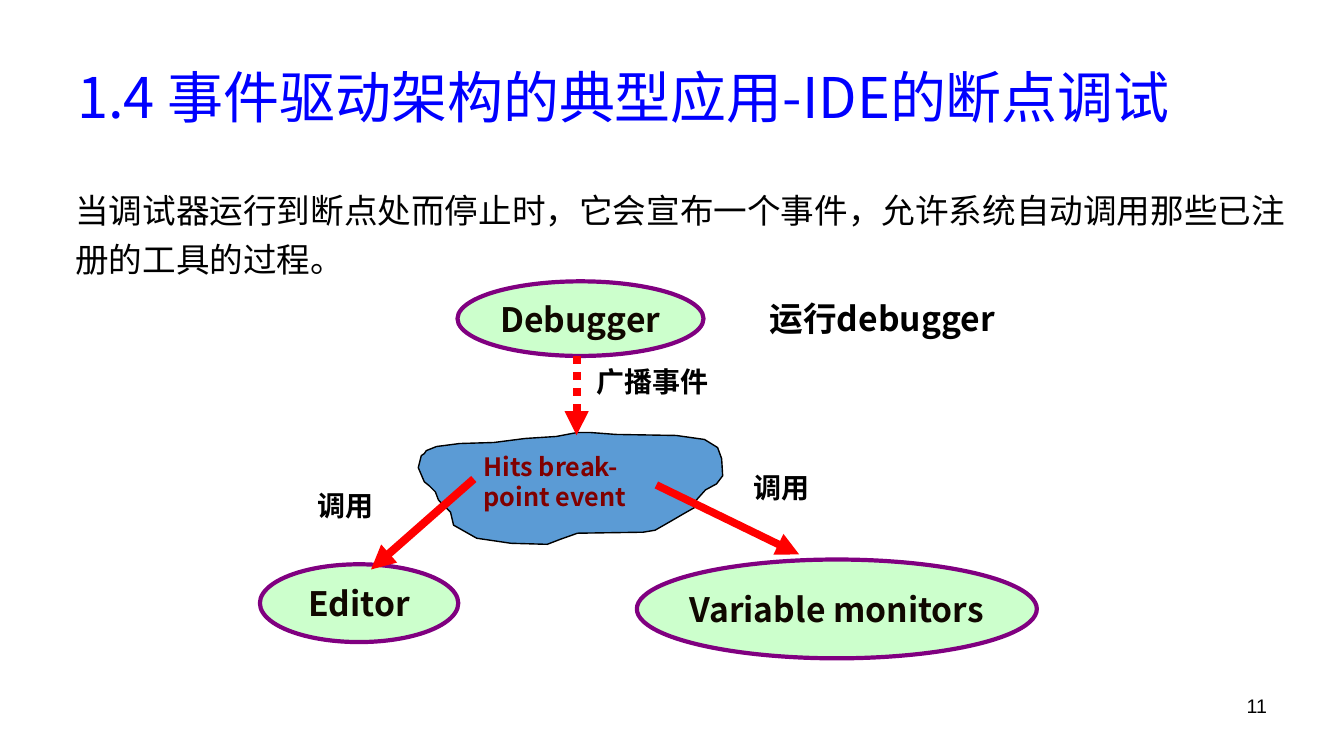
from lxml import etree
from pptx import Presentation
from pptx.dml.color import RGBColor
from pptx.enum.dml import MSO_LINE
from pptx.enum.shapes import MSO_CONNECTOR, MSO_SHAPE
from pptx.enum.text import MSO_ANCHOR, PP_ALIGN
from pptx.oxml.ns import qn
from pptx.util import Cm, Pt

OVAL = MSO_SHAPE.OVAL
STRAIGHT = MSO_CONNECTOR.STRAIGHT
DOTTED = MSO_LINE.ROUND_DOT
TOP, MIDDLE = MSO_ANCHOR.TOP, MSO_ANCHOR.MIDDLE
LEFT, CENTER, RIGHT = PP_ALIGN.LEFT, PP_ALIGN.CENTER, PP_ALIGN.RIGHT

CJK = "Noto Sans CJK SC"
COLORS = {
    "title": "0000FF",
    "text": "000000",
    "tool_text": "100800",
    "tool_fill": "CCFFCC",
    "tool_line": "800080",
    "event_fill": "5B9BD5",
    "event_text": "800000",
    "arrow": "FF0000",
}

# Outline of the event cloud, in hundredths of an inch
CLOUD_POINTS = [
    (418, 452), (421, 450), (423, 447), (433, 443), (456, 440), (490, 439),
    (521, 435), (552, 433), (573, 429), (585, 429), (611, 431), (671, 432),
    (699, 436), (712, 444), (716, 455), (717, 472), (711, 480), (700, 486),
    (691, 496), (690, 503), (676, 511), (664, 518), (650, 526), (638, 528),
    (573, 529), (556, 535), (543, 540), (507, 539), (473, 534), (450, 521),
    (447, 508), (435, 496), (432, 488), (426, 482), (421, 478), (415, 464),
]


def color(name):
    return RGBColor.from_string(COLORS[name])


def write(shape, text, size, ink, bold=False, font=CJK, align=LEFT,
          anchor=TOP, wrap=True, leading=1.2):
    frame = shape.text_frame
    paragraph = frame.paragraphs[0]
    run = paragraph.add_run()
    run.text = text
    formats = [
        (frame, {"word_wrap": wrap, "vertical_anchor": anchor}),
        (paragraph, {"alignment": align, "line_spacing": Pt(size * leading)}),
        (run.font, {"size": Pt(size), "bold": bold, "name": font}),
    ]
    for target, values in formats:
        for attribute, value in values.items():
            setattr(target, attribute, value)
    run.font.color.rgb = color(ink)
    # East Asian characters need their own typeface entry
    east_asian = etree.SubElement(run.font._element, qn("a:ea"))
    east_asian.set("typeface", font)


def add_text(slide, box, text, size, ink="text", **style):
    label = slide.shapes.add_textbox(*map(Cm, box))
    write(label, text, size, ink, **style)
    return label


def paint(shape, fill, line, width):
    shape.shadow.inherit = False
    shape.fill.solid()
    shape.fill.fore_color.rgb = color(fill)
    shape.line.color.rgb = color(line)
    shape.line.width = Pt(width)


def add_tool(slide, box, name):
    tool = slide.shapes.add_shape(OVAL, *map(Cm, box))
    paint(tool, "tool_fill", "tool_line", 3)
    write(tool, name, 24, "tool_text", bold=True, align=CENTER,
          anchor=MIDDLE, wrap=False)


def add_cloud(slide):
    start, *rest = CLOUD_POINTS
    outline = slide.shapes.build_freeform(*start, scale=Cm(2.54) / 100)
    outline.add_line_segments(rest, close=True)
    paint(outline.convert_to_shape(), "event_fill", "text", 1)


def add_arrow(slide, start, end, width, dash=None):
    arrow = slide.shapes.add_connector(STRAIGHT, *map(Cm, start + end))
    arrow.line.color.rgb = color("arrow")
    arrow.line.width = Pt(width)
    if dash:
        arrow.line.dash_style = dash
    etree.SubElement(arrow.line._get_or_add_ln(), qn("a:tailEnd"), type="triangle")
    etree.SubElement(arrow._element.spPr, qn("a:effectLst"))


def main():
    prs = Presentation()
    prs.slide_width, prs.slide_height = Cm(33.87), Cm(19.05)
    slide = prs.slides.add_slide(prs.slide_layouts[6])

    # Title and page number
    add_text(slide, (1.7, 0.76, 30.48, 3.18),
             "1.4 事件驱动架构的典型应用-IDE的断点调试", 40, "title",
             anchor=MIDDLE, leading=1.3)
    add_text(slide, (24.28, 17.35, 7.9, 1.32), "11", 14, font="Arial", align=RIGHT)

    # Tools
    for box, name in [
        ((11.53, 7.09, 6.2, 1.88), "Debugger"),
        ((6.55, 14.22, 5, 1.96), "Editor"),
        ((16.05, 14.1, 10.08, 2.49), "Variable monitors"),
    ]:
        add_tool(slide, box, name)

    # Event
    add_cloud(slide)
    add_text(slide, (11.94, 11.25, 4.8, 1.8), "Hits break-point event", 18,
             "event_text", bold=True)

    # Broadcast and calls
    add_arrow(slide, (14.53, 8.97), (14.53, 10.97), 5.75, DOTTED)
    add_arrow(slide, (16.54, 12.22), (20.14, 13.97), 5.5)
    add_arrow(slide, (11.94, 12.07), (9.35, 14.35), 5.75)
    for box, label, size in [
        ((14.78, 9.07, 4.8, 1.12), "广播事件", 20),
        ((18.75, 11.73, 3, 1.12), "调用", 20),
        ((7.75, 12.19, 2.59, 1.12), "调用", 20),
        ((19.15, 7.37, 8, 1.27), "运行debugger", 24),
    ]:
        add_text(slide, box, label, size, bold=True)

    # Explanation
    explanation = add_text(
        slide, (1.9, 4.57, 30.6, 2.36),
        "当调试器运行到断点处而停止时，它会宣布一个事件，"
        "允许系统自动调用那些已注册的工具的过程。", 24, leading=1.46)
    for side in ("left", "top", "right", "bottom"):
        setattr(explanation.text_frame, f"margin_{side}", 0)

    prs.save("out.pptx")


if __name__ == "__main__":
    main()
